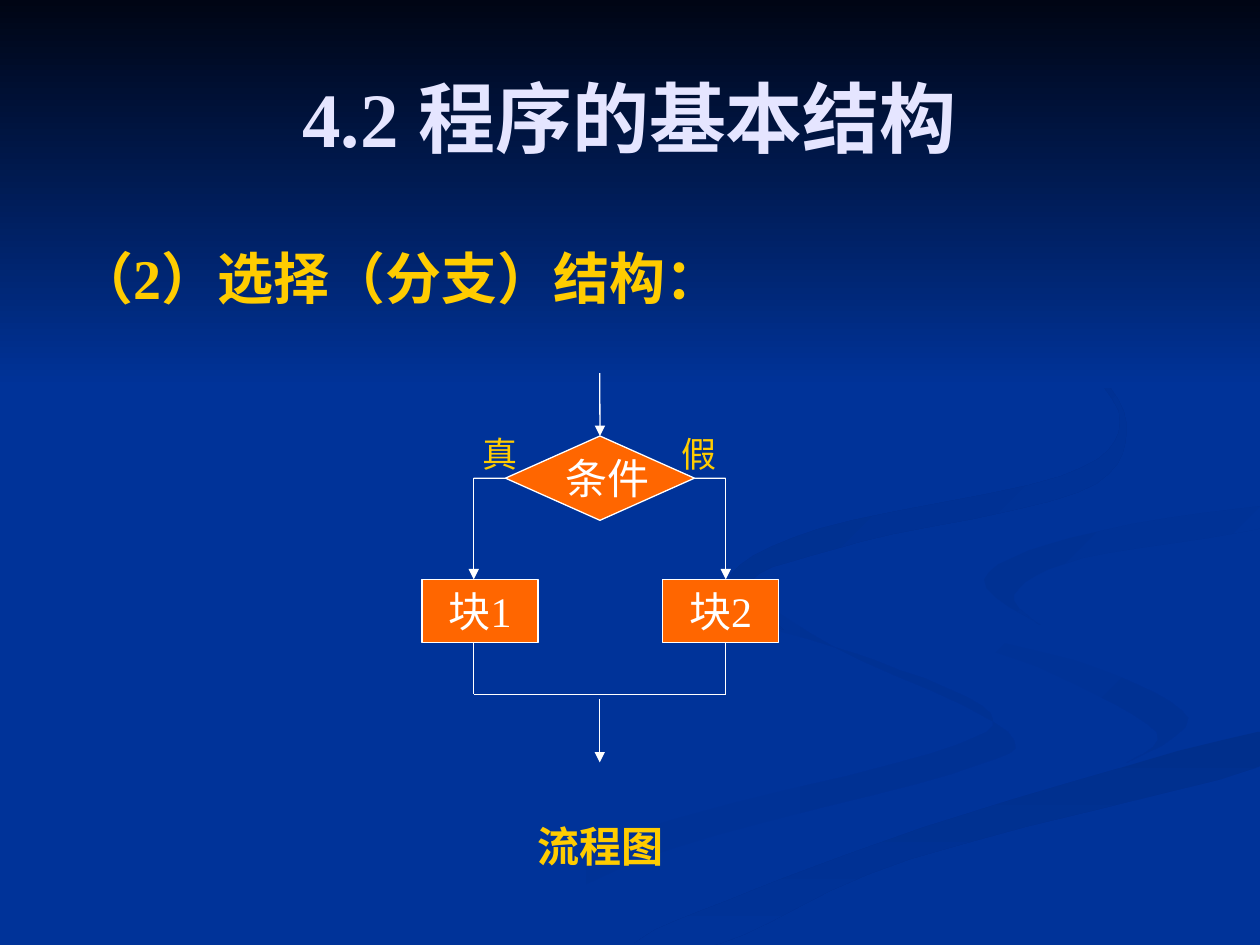
import pptx
import pptx.util
import pptx.dml.color
import pptx.enum.shapes
import pptx.enum.text
import pptx.oxml.ns
from lxml import etree

Cm = pptx.util.Cm
Pt = pptx.util.Pt
RGBColor = pptx.dml.color.RGBColor
MSO_SHAPE = pptx.enum.shapes.MSO_SHAPE
ALIGN = pptx.enum.text.PP_ALIGN
ANCHOR = pptx.enum.text.MSO_ANCHOR
qn = pptx.oxml.ns.qn

BLUE = RGBColor(0x00, 0x33, 0x99)
NIGHT = RGBColor(0x00, 0x05, 0x14)
DEEP_BLUE = RGBColor(0x00, 0x2F, 0x8C)
SOFT_BLUE = RGBColor(0x00, 0x31, 0x93)
LAVENDER = RGBColor(0xE5, 0xE5, 0xFF)
YELLOW = RGBColor(0xFF, 0xCC, 0x00)
ORANGE = RGBColor(0xFF, 0x66, 0x00)
WHITE = RGBColor(0xFF, 0xFF, 0xFF)

SERIF = "Times New Roman"
SANS = "Karla"

# Ribbon knots are in hundredths of an inch; curves are run through them.
RIBBON_UNIT = Cm(0.0254)
CURVE_STEPS = 6
RIBBONS = [
    (BLUE, SOFT_BLUE, 0, [
        (575, 459), (593, 491), (697, 525), (786, 566), (739, 598), (499, 661),
        (300, 749), (361, 749), (532, 674), (756, 614), (800, 581), (661, 513)]),
    (BLUE, SOFT_BLUE, 45, [
        (724, 464), (746, 500), (838, 536), (918, 581), (894, 605),
        (943, 570), (870, 530), (758, 498)]),
    (DEEP_BLUE, BLUE, 90, [
        (503, 749), (571, 749), (722, 682), (998, 609), (998, 581),
        (764, 647), (599, 706)]),
    (SOFT_BLUE, BLUE, 45, [
        (781, 460), (826, 496), (805, 472), (859, 443), (998, 420),
        (998, 402), (849, 427)]),
    (DEEP_BLUE, BLUE, 45, [
        (762, 233), (846, 279), (889, 335), (842, 378), (649, 420), (577, 462),
        (622, 500), (596, 461), (683, 430), (855, 391), (894, 344), (864, 291)]),
]


def curve_through(knots):
    """Return points along a closed Catmull-Rom curve."""
    count = len(knots)
    points = []
    for i in range(count):
        neighbours = [knots[(i + shift) % count] for shift in (-1, 0, 1, 2)]
        for step in range(CURVE_STEPS):
            t = step / CURVE_STEPS
            points.append(tuple(
                b + t * (c - a) / 2 + t**2 * (a - 2.5 * b + 2 * c - d / 2)
                + t**3 * (3 * (b - c) + d - a) / 2
                for a, b, c, d in zip(*neighbours)))
    return points


def fill_gradient(shape, start, end, clockwise_angle):
    shape.fill.gradient()
    shape.fill.gradient_angle = -clockwise_angle % 360
    for stop, color in zip(shape.fill.gradient_stops, (start, end)):
        stop.color.rgb = color
    shape.line.fill.background()
    shape.shadow.inherit = False


def draw_backdrop(slide):
    slide.background.fill.solid()
    slide.background.fill.fore_color.rgb = BLUE
    for start, end, angle, knots in RIBBONS:
        outline = curve_through(knots)
        builder = slide.shapes.build_freeform(*outline[0], scale=RIBBON_UNIT)
        builder.add_line_segments(outline[1:], close=True)
        fill_gradient(builder.convert_to_shape(), start, end, angle)
    sky = slide.shapes.add_shape(MSO_SHAPE.RECTANGLE, 0, 0, Cm(25.4), Cm(7.82))
    fill_gradient(sky, NIGHT, BLUE, 90)


def write(paragraph, text, size, font, color, bold=False, align=None):
    paragraph.alignment = align
    run = paragraph.add_run()
    run.text = text
    run.font.size = Pt(size)
    run.font.name = font
    run.font.color.rgb = color
    run.font.bold = bold


def place(placeholder, left, top, width, height):
    """Move a placeholder and bring it in front of the backdrop."""
    placeholder.left, placeholder.top = Cm(left), Cm(top)
    placeholder.width, placeholder.height = Cm(width), Cm(height)
    placeholder.text_frame.auto_size = pptx.enum.text.MSO_AUTO_SIZE.NONE
    placeholder._element.getparent().append(placeholder._element)
    return placeholder.text_frame.paragraphs[0]


def add_headings(slide):
    title = place(slide.shapes.title, 1.27, 0.76, 22.86, 3.18)
    slide.shapes.title.text_frame.vertical_anchor = ANCHOR.MIDDLE
    write(title, "4.2 程序的基本结构", 44, SERIF, LAVENDER, True, ALIGN.CENTER)

    topic = place(slide.placeholders[1], 1.3, 4.52, 22.86, 1.88)
    properties = topic._p.get_or_add_pPr()
    properties.set("marL", str(Cm(0.95)))
    properties.set("indent", str(Cm(-0.95)))
    etree.SubElement(properties, qn("a:buNone"))
    topic.line_spacing = 1.2
    topic.space_before = Pt(0)
    write(topic, "（2）选择（分支）结构：", 32, SERIF, YELLOW, True)


def add_label(slide, text, left, top, width, height, size, bold=False):
    frame = slide.shapes.add_textbox(Cm(left), Cm(top), Cm(width), Cm(height)).text_frame
    frame.word_wrap = True
    write(frame.paragraphs[0], text, size, SANS, YELLOW, bold, ALIGN.CENTER)


def add_node(slide, kind, text, left, top, width, height, align):
    node = slide.shapes.add_shape(kind, Cm(left), Cm(top), Cm(width), Cm(height))
    node.shadow.inherit = False
    node.fill.solid()
    node.fill.fore_color.rgb = ORANGE
    node.line.color.rgb = WHITE
    node.line.width = Pt(0.75)
    node.text_frame.word_wrap = False
    node.text_frame.vertical_anchor = ANCHOR.MIDDLE
    write(node.text_frame.paragraphs[0], text, 24, SERIF, WHITE, align=align)
    return node


def add_flow(slide, x1, y1, x2, y2, arrow=False):
    flow = slide.shapes.add_connector(
        pptx.enum.shapes.MSO_CONNECTOR.STRAIGHT, Cm(x1), Cm(y1), Cm(x2), Cm(y2))
    flow.line.color.rgb = WHITE
    flow.line.width = Pt(0.75)
    if arrow:
        etree.SubElement(flow.line._get_or_add_ln(), qn("a:tailEnd"), type="triangle")
    etree.SubElement(flow._element.spPr, qn("a:effectLst"))
    return flow


def add_flowchart(slide):
    axis, reach = 12.09, 2.54
    condition_y, block_top, block_bottom, merge_y = 9.64, 11.68, 12.95, 14
    condition = add_node(slide, MSO_SHAPE.DIAMOND, "条件", 10.19, 8.79, 3.81, 1.7, ALIGN.LEFT)
    add_flow(slide, axis, 7.52, axis, 8.79, arrow=True).end_connect(condition, 0)

    branches = [
        ("真", 9.35, "块1", 8.51, axis - reach, 10.19, 1),
        ("假", 13.36, "块2", 13.36, axis + reach, 14, 3),
    ]
    for answer, answer_left, block, block_left, x, corner_x, side in branches:
        add_flow(slide, corner_x, condition_y, x, condition_y).begin_connect(condition, side)
        add_flow(slide, x, condition_y, x, block_top, arrow=True)
        add_node(slide, MSO_SHAPE.RECTANGLE, block, block_left, block_top,
                 2.34, block_bottom - block_top, ALIGN.CENTER)
        add_flow(slide, x, block_bottom, x, merge_y)
        add_label(slide, answer, answer_left, 8.59, 1.47, 1.09, 20)

    add_flow(slide, axis - reach, merge_y, axis + reach, merge_y)
    add_flow(slide, axis, 14.1, axis, 15.37, arrow=True)
    add_label(slide, "流程图", 9.98, 16.41, 4.24, 1.27, 24, bold=True)


def main():
    deck = pptx.Presentation()
    deck.slide_width, deck.slide_height = Cm(25.4), Cm(19.05)
    slide = deck.slides.add_slide(deck.slide_layouts[1])
    draw_backdrop(slide)
    add_headings(slide)
    add_flowchart(slide)
    deck.save("out.pptx")


if __name__ == "__main__":
    main()
